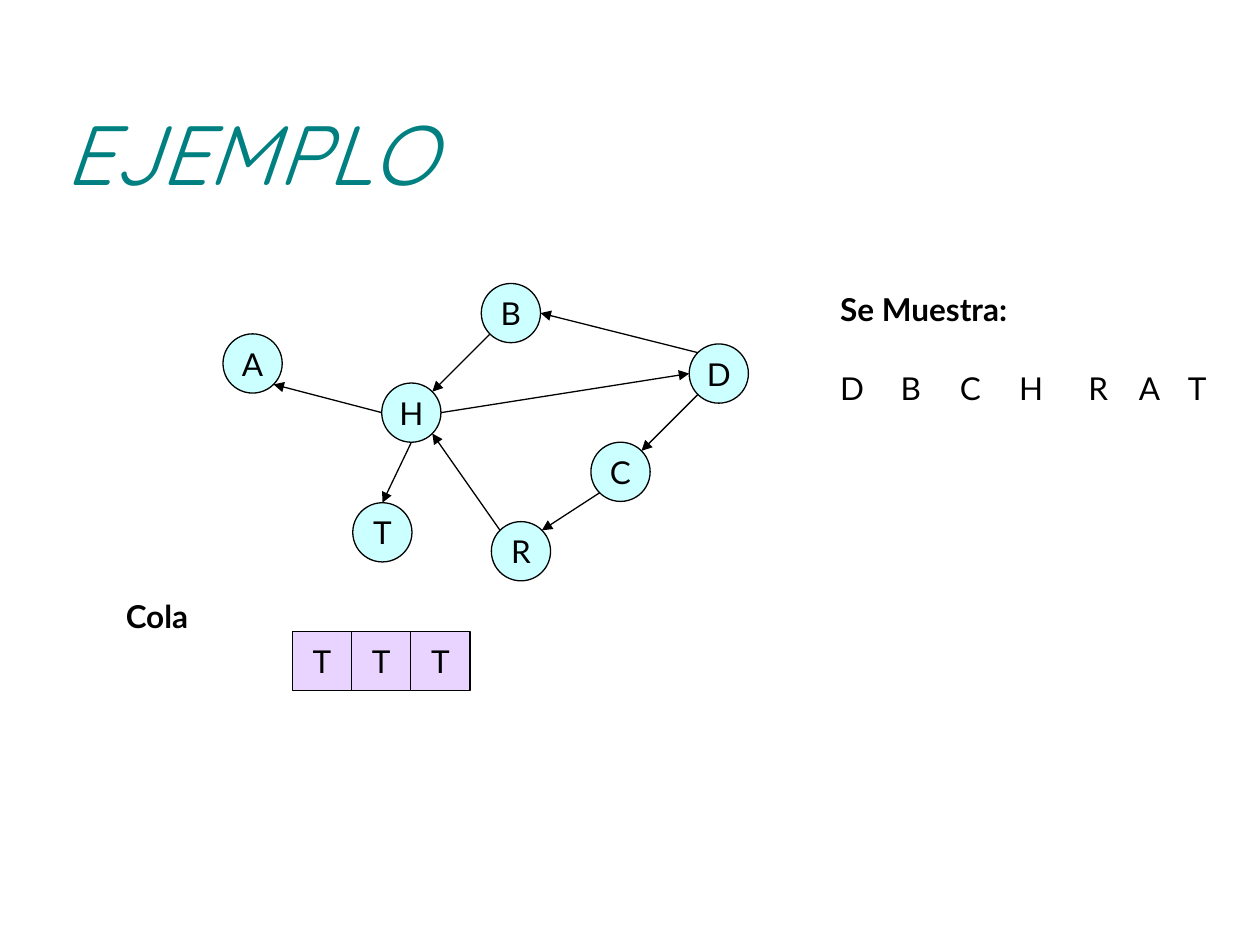
from math import cos, radians, sin

from lxml.etree import SubElement
from pptx import Presentation
from pptx.dml.color import RGBColor
from pptx.enum.shapes import MSO_CONNECTOR, MSO_SHAPE as SHAPE
from pptx.enum.text import MSO_ANCHOR as ANCHOR, PP_ALIGN as ALIGN
from pptx.oxml.ns import qn
from pptx.util import Inches, Pt

BLACK = RGBColor(0x00, 0x00, 0x00)
TEAL = RGBColor(0x00, 0x80, 0x80)
CYAN = RGBColor(0xCC, 0xFF, 0xFF)
LILAC = RGBColor(0xE9, 0xD3, 0xFF)
SIZE = 0.47

prs = Presentation()
prs.slide_width, prs.slide_height = Inches(10), Inches(7.5)
slide = prs.slides.add_slide(prs.slide_layouts[6])


def add_letter_shape(kind, letter, left, top, color):
    shape = slide.shapes.add_shape(
        kind, Inches(left), Inches(top), Inches(SIZE), Inches(SIZE))
    shape.shadow.inherit = False
    shape.fill.solid()
    shape.fill.fore_color.rgb = color
    shape.line.color.rgb = BLACK
    shape.line.width = Pt(0.75)
    frame = shape.text_frame
    frame.word_wrap = False
    frame.vertical_anchor = ANCHOR.MIDDLE
    paragraph = frame.paragraphs[0]
    paragraph.text = letter
    paragraph.alignment = ALIGN.CENTER
    paragraph.font.name = "Lato"
    paragraph.font.size = Pt(18)
    paragraph.font.color.rgb = BLACK


def add_label(text, left, top, width, height=0.4, font="Lato", size=18, color=BLACK):
    box = slide.shapes.add_textbox(
        Inches(left), Inches(top), Inches(width), Inches(height))
    box.text_frame.word_wrap = True
    box.text_frame.vertical_anchor = ANCHOR.TOP
    paragraph = box.text_frame.paragraphs[0]
    paragraph.text = text
    paragraph.font.name = font
    paragraph.font.size = Pt(size)
    paragraph.font.color.rgb = color
    return box.text_frame


title = add_label("EJEMPLO", 0.42, 0.58, 9, 1.25, "Quicksand", 48, TEAL)
title.vertical_anchor = ANCHOR.MIDDLE
title.paragraphs[0].font.italic = True

nodes = {
    "A": (1.77, 2.65), "T": (2.8, 3.99), "H": (3.03, 3.04), "B": (3.82, 2.25),
    "D": (5.47, 2.73), "C": (4.69, 3.51), "R": (3.9, 4.14),
}
for letter, (left, top) in nodes.items():
    add_letter_shape(SHAPE.OVAL, letter, left, top, CYAN)

edges = [
    ("H", 180, "A", 45), ("H", 90, "T", 270), ("R", 225, "H", 45),
    ("C", 135, "R", 315), ("H", 0, "D", 180), ("B", 135, "H", 315),
    ("D", 225, "B", 0), ("D", 135, "C", 315),
]
for source, source_angle, target, target_angle in edges:
    ends = []
    for node, angle in ((source, source_angle), (target, target_angle)):
        left, top = nodes[node]
        ends.append(Inches(left + SIZE / 2 * (1 + cos(radians(angle)))))
        ends.append(Inches(top + SIZE / 2 * (1 + sin(radians(angle)))))
    edge = slide.shapes.add_connector(MSO_CONNECTOR.STRAIGHT, *ends)
    edge.line.color.rgb = BLACK
    edge.line.width = Pt(0.75)
    SubElement(edge.line._get_or_add_ln(), qn("a:tailEnd"), type="triangle")
    SubElement(edge._element.spPr, qn("a:effectLst"))

for heading, left, top, width in (("Cola", 0.9, 4.69, 1.1), ("Se Muestra:", 6.57, 2.25, 1.81)):
    add_label(heading, left, top, width).paragraphs[0].font.bold = True

for letter, left in zip("DBCHRAT", (6.57, 7.05, 7.52, 7.99, 8.54, 8.94, 9.33)):
    add_label(letter, left, 2.88, 0.39)

for index, letter in enumerate("TTT"):
    add_letter_shape(SHAPE.RECTANGLE, letter, 2.32 + index * SIZE, 5.01, LILAC)

prs.save("out.pptx")
